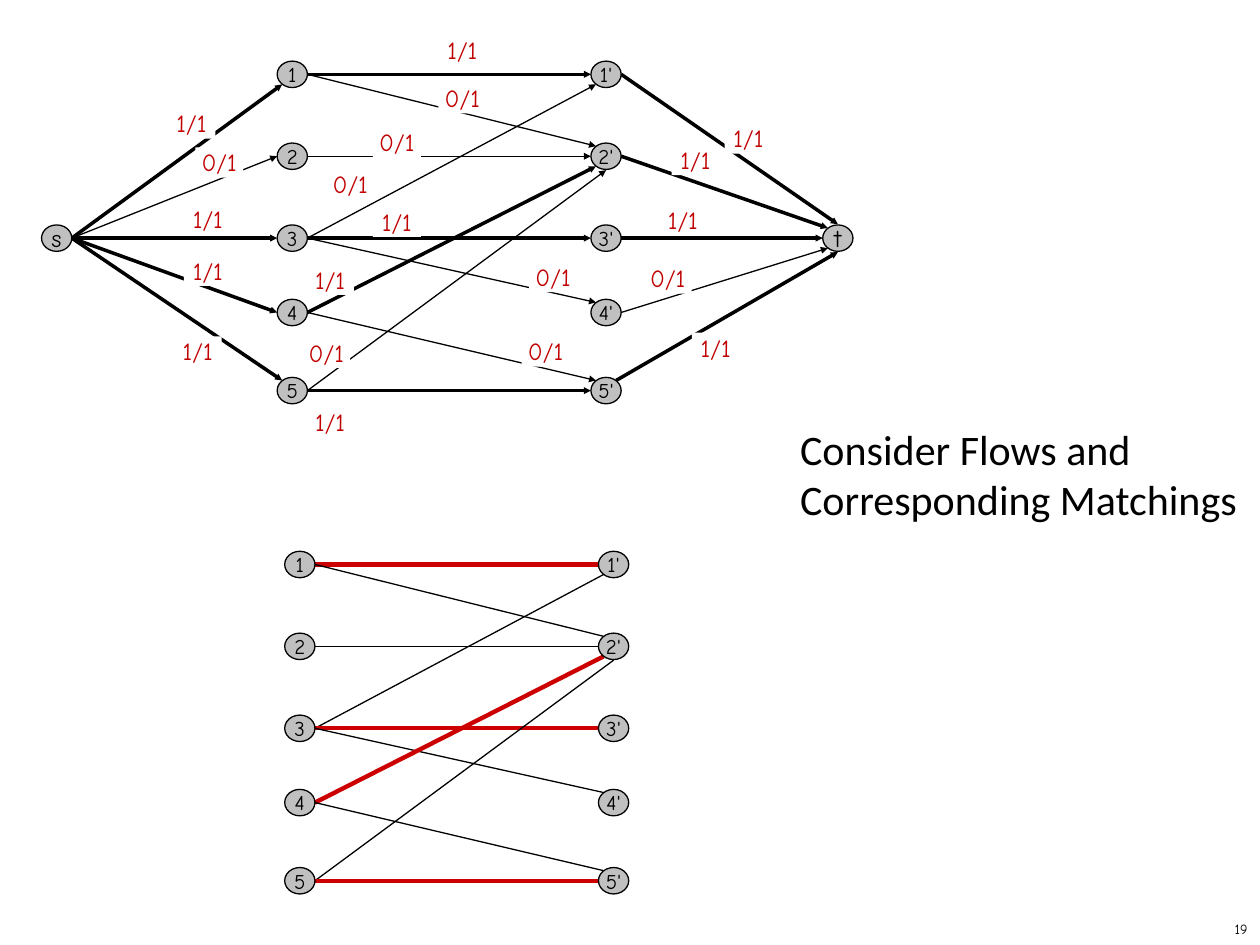
"""Build a slide that sets a flow network beside its matching."""
import pptx
import pptx.util
import pptx.dml.color
import pptx.enum.shapes
import pptx.enum.text
import pptx.oxml.ns
import lxml.etree

Inches = pptx.util.Inches
SHAPE = pptx.enum.shapes.MSO_SHAPE
ALIGN = pptx.enum.text.PP_ALIGN
ANCHOR = pptx.enum.text.MSO_ANCHOR
FIT = pptx.enum.text.MSO_AUTO_SIZE

HEX = {"ink": "000000", "node": "C0C0C0", "paper": "FFFFFF",
       "flow": "C00000", "match": "CC0000"}
HAND = "Comic Neue"
WIDE, HIGH = 0.24, 0.21
ROWS = [0.59, 1.24, 1.89, 2.48, 3.1]
LEFT, RIGHT = 2.32, 4.81
SHIFT = (0.06, 3.89)
SITES = {"L": (-0.12, 0), "R": (0.12, 0), "T": (0, -0.11), "B": (0, 0.11),
         "TL": (-0.08, -0.08), "BL": (-0.08, 0.08), "TR": (0.08, -0.08)}

PAIRS = {str(i): (LEFT, y) for i, y in enumerate(ROWS, 1)}
PAIRS.update({f"{i}'": (RIGHT, y) for i, y in enumerate(ROWS, 1)})
ENDS = {"s": (0.45, ROWS[2]), "t": (6.65, ROWS[2])}

# Each edge: start, start site, end, end site, flow, label corner.
MIDDLE = [
    ("1", "R", "1'", "L", 1, (3.48, 0.28)),
    ("1", "R", "2'", "TL", 0, (3.48, 0.66)),
    ("2", "R", "2'", "L", 0, (2.96, 1.01)),
    ("3", "R", "1'", "BL", 0, (2.59, 1.34)),
    ("3", "R", "3'", "L", 1, (2.96, 1.64)),
    ("3", "R", "4'", "TL", 0, (4.2, 2.08)),
    ("4", "R", "2'", "BL", 1, (2.43, 2.1)),
    ("4", "R", "5'", "TL", 0, (4.14, 2.67)),
    ("5", "R", "2'", "B", 0, (2.4, 2.68)),
    ("5", "R", "5'", "L", 1, (2.43, 3.23)),
]
OUTER = [
    ("s", "R", "1", "BL", 1, (1.33, 0.86)),
    ("s", "R", "2", "L", 0, (1.55, 1.17)),
    ("s", "R", "3", "L", 1, (1.46, 1.62)),
    ("s", "R", "4", "L", 1, (1.46, 2.03)),
    ("s", "R", "5", "TL", 1, (1.38, 2.67)),
    ("1'", "R", "t", "T", 1, (5.75, 0.98)),
    ("2'", "R", "t", "TL", 1, (5.33, 1.15)),
    ("3'", "R", "t", "L", 1, (5.23, 1.63)),
    ("4'", "R", "t", "BL", 0, (5.11, 2.09)),
    ("5'", "TR", "t", "B", 1, (5.49, 2.64)),
]


def color(name):
    """Return a named colour."""
    return pptx.dml.color.RGBColor.from_string(HEX[name])


def write(para, text, size, font=HAND, ink="ink"):
    """Add one run to a paragraph."""
    run = para.add_run()
    run.text = text
    run.font.size = pptx.util.Pt(size)
    run.font.name = font
    run.font.color.rgb = color(ink)


def add_node(slide, name, x, y):
    """Draw a named node about its centre."""
    node = slide.shapes.add_shape(
        SHAPE.OVAL, Inches(x - WIDE / 2), Inches(y - HIGH / 2),
        Inches(WIDE), Inches(HIGH))
    node.shadow.inherit = False
    node.fill.solid()
    node.fill.fore_color.rgb = color("node")
    node.line.color.rgb = color("ink")
    node.line.width = pptx.util.Pt(0.75)
    frame = node.text_frame
    frame.word_wrap = False
    frame.vertical_anchor = ANCHOR.MIDDLE
    para = frame.paragraphs[0]
    para.alignment = ALIGN.CENTER
    write(para, name, 14 if name in ENDS else 12)


def add_edge(slide, start, end, width, ink="ink", arrow=False):
    """Draw a straight edge, with an arrowhead if asked."""
    edge = slide.shapes.add_connector(
        pptx.enum.shapes.MSO_CONNECTOR.STRAIGHT,
        *[Inches(v) for v in (*start, *end)])
    edge.line.color.rgb = color(ink)
    edge.line.width = pptx.util.Pt(width)
    qn = pptx.oxml.ns.qn
    props = edge._element.spPr
    if arrow:
        lxml.etree.SubElement(props.find(qn("a:ln")), qn("a:tailEnd"),
                              type="triangle", w="sm", len="sm")
    lxml.etree.SubElement(props, qn("a:effectLst"))


def add_label(slide, text, x, y):
    """Place a flow label on a white patch."""
    label = slide.shapes.add_shape(
        SHAPE.RECTANGLE, Inches(x), Inches(y), Inches(0.38), Inches(0.24))
    label.shadow.inherit = False
    label.fill.solid()
    label.fill.fore_color.rgb = color("paper")
    label.line.fill.background()
    frame = label.text_frame
    frame.margin_left = frame.margin_right = 0
    frame.margin_top = frame.margin_bottom = 0
    frame.word_wrap = True
    frame.auto_size = FIT.SHAPE_TO_FIT_TEXT
    frame.vertical_anchor = ANCHOR.TOP
    para = frame.paragraphs[0]
    para.alignment = ALIGN.CENTER
    write(para, text, 14, ink="flow")


def add_graph(slide, nodes, edges, network):
    """Draw a flow network or a plain matching."""
    for start, exit, end, entry, flow, _ in edges:
        tips = [[a + b for a, b in zip(nodes[name], SITES[site])]
                for name, site in ((start, exit), (end, entry))]
        if network:
            add_edge(slide, *tips, 2 if flow else 0.75, arrow=True)
        else:
            add_edge(slide, *tips, 2.5 if flow else 0.75,
                     "match" if flow else "ink")
    for name, spot in nodes.items():
        add_node(slide, name, *spot)
    if network:
        for *_, flow, spot in edges:
            add_label(slide, f"{flow}/1", *spot)


def set_title(slide, lines):
    """Place and fill the title."""
    title = slide.shapes.title
    title.left, title.top = Inches(6.25), Inches(3.31)
    title.width, title.height = Inches(3.92), Inches(0.91)
    frame = title.text_frame
    frame.word_wrap = True
    frame.auto_size = FIT.NONE
    frame.vertical_anchor = ANCHOR.TOP
    para = frame.paragraphs[0]
    para.alignment = ALIGN.LEFT
    for i, line in enumerate(lines):
        if i:
            para.add_line_break()
        write(para, line, 24, "Calibri")


def add_number(slide, text):
    """Add the page number."""
    box = slide.shapes.add_textbox(
        Inches(7.92), Inches(7.25), Inches(2.08), Inches(0.25))
    frame = box.text_frame
    frame.word_wrap = True
    frame.vertical_anchor = ANCHOR.MIDDLE
    para = frame.paragraphs[0]
    para.alignment = ALIGN.RIGHT
    write(para, text, 8)


def main():
    """Build and save the slide."""
    deck = pptx.Presentation()
    deck.slide_width, deck.slide_height = Inches(10), Inches(7.5)
    slide = deck.slides.add_slide(deck.slide_layouts[5])
    set_title(slide, ["Consider Flows and", "Corresponding Matchings"])
    add_graph(slide, {**ENDS, **PAIRS}, OUTER + MIDDLE, True)
    lower = {name: (x + SHIFT[0], y + SHIFT[1])
             for name, (x, y) in PAIRS.items()}
    add_graph(slide, lower, MIDDLE, False)
    add_number(slide, "19")
    deck.save("out.pptx")


main()
